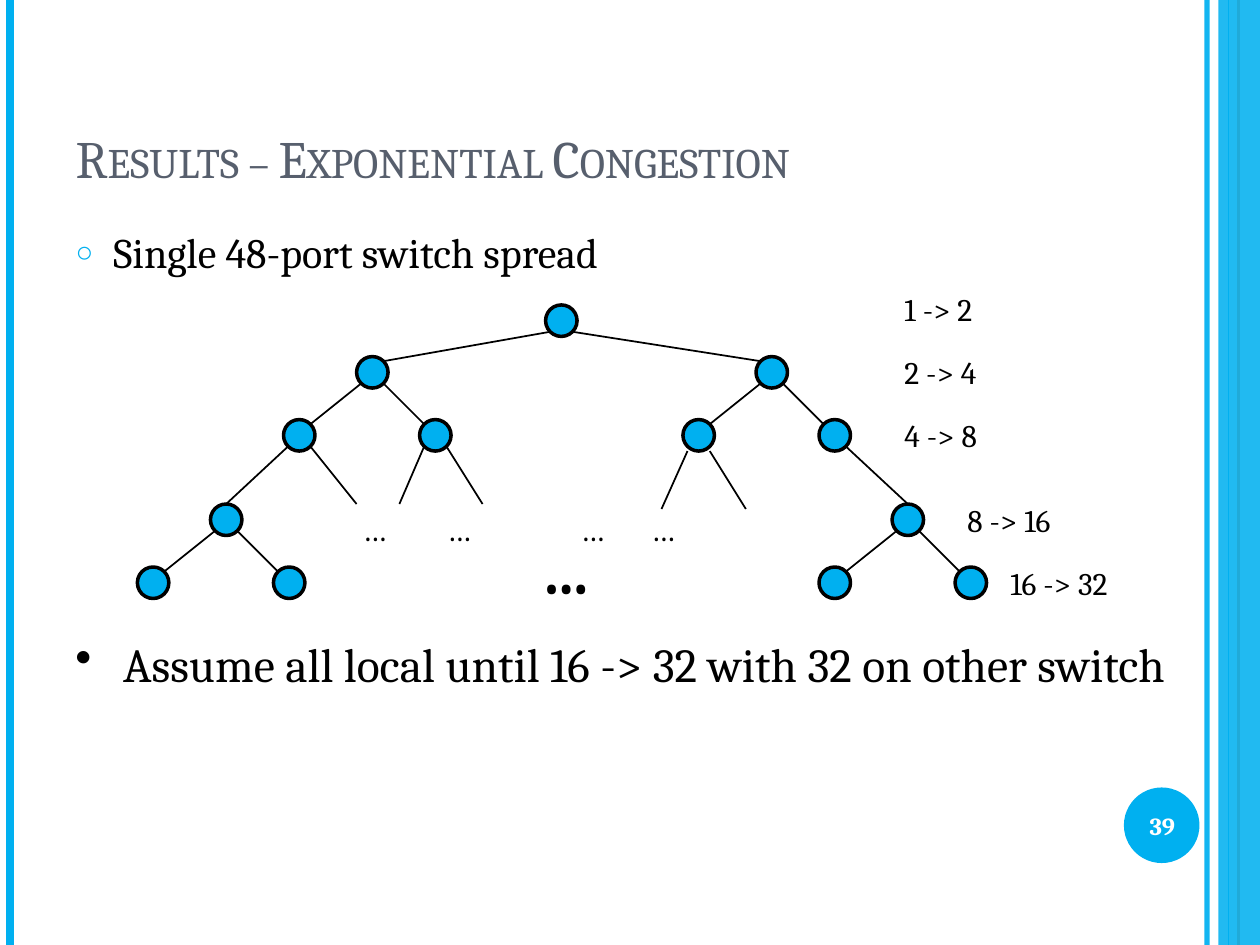
from dataclasses import dataclass
from math import sqrt

from lxml import etree
from pptx import Presentation
from pptx.dml.color import RGBColor
from pptx.enum.shapes import MSO_CONNECTOR, MSO_SHAPE
from pptx.enum.text import MSO_ANCHOR, PP_ALIGN
from pptx.oxml.ns import qn
from pptx.util import Inches, Pt

OVAL, RECTANGLE = MSO_SHAPE.OVAL, MSO_SHAPE.RECTANGLE
STRAIGHT = MSO_CONNECTOR.STRAIGHT
LEFT, CENTER = PP_ALIGN.LEFT, PP_ALIGN.CENTER
TOP, MIDDLE, BOTTOM = MSO_ANCHOR.TOP, MSO_ANCHOR.MIDDLE, MSO_ANCHOR.BOTTOM

BLUE = RGBColor(0x00, 0xB0, 0xF0)
ORANGE = RGBColor(0xFE, 0x86, 0x37)
SLATE = RGBColor(0x57, 0x5F, 0x6D)
BLACK = RGBColor(0x00, 0x00, 0x00)
WHITE = RGBColor(0xFF, 0xFF, 0xFF)

FONT = "Cambria"
SLIDE_HEIGHT = 7.5
NODE_SIZE = 0.25
CHILD_DROP = 0.5
LEFT_CHILD_SHIFT, RIGHT_CHILD_SHIFT = -0.58, 0.5

Point = tuple[float, float]


@dataclass(frozen=True)
class Node:
    left: float
    top: float

    def corner(self, across: int, down: int) -> Point:
        """Point on the circle's diagonal; -1 is left or up, 1 is right or down."""
        radius = NODE_SIZE / 2
        reach = radius / sqrt(2)
        return self.left + radius + across * reach, self.top + radius + down * reach

    def crown(self) -> Point:
        return self.left + NODE_SIZE / 2, self.top


@dataclass(frozen=True)
class Rule:
    x: float
    color: RGBColor
    weight: float
    opacity: int = 100


@dataclass(frozen=True)
class Label:
    text: str
    left: float
    top: float
    width: float
    height: float = 0.4
    size: float = 18
    bold: bool = False
    color: RGBColor = BLACK
    align: PP_ALIGN = LEFT
    anchor: MSO_ANCHOR = TOP


EDGE_RULES = [Rule(9.58, BLUE, 3, 93), Rule(0.08, BLUE, 4.5), Rule(9.83, ORANGE, 1.5)]
BAND_RULE = Rule(9.75, BLUE, 0.75)

ROOT = Node(4.33, 2.42)
LEFT_HALF, RIGHT_HALF = Node(2.83, 2.83), Node(6, 2.83)
LEFT_FRINGE, RIGHT_FRINGE = Node(1.67, 4), Node(7.08, 4)

ELLIPSIS_TABS = [0.11, 0.78, 1.84, 2.4]
ELLIPSIS_ROW = Label("\t…" * len(ELLIPSIS_TABS), 2.67, 4, 3.83)
ASSUMPTION = Label("Assume all local until 16 -> 32 with 32 on other switch",
                   0.5, 5.08, 9, 0.83, 27.2)
LABELS = [
    Label("39", 8.89, 6.27, 0.67, 0.57, 14, True, WHITE, CENTER, MIDDLE),
    Label("…", 2.58, 4.17, 3.83, 0.71, 36, True, align=CENTER),
    Label("1 -> 2", 7.08, 2.25, 1.42),
    Label("2 -> 4", 7.08, 2.75, 1.42),
    Label("4 -> 8", 7.08, 3.25, 1.42),
    Label("8 -> 16", 7.58, 3.93, 1),
    Label("16 -> 32", 7.92, 4.43, 1.17),
]


def set_opacity(properties, percent: int) -> None:
    color = next(properties.iter(qn("a:srgbClr")))
    etree.SubElement(color, qn("a:alpha"), val=str(percent * 1000))


def draw_line(shapes, start: Point, end: Point, color: RGBColor = BLACK, weight: float = 1):
    line = shapes.add_connector(STRAIGHT, *(Inches(v) for v in (*start, *end)))
    line.line.color.rgb = color
    line.line.width = Pt(weight)
    etree.SubElement(line._element.spPr, qn("a:effectLst"))
    return line


def draw_rule(shapes, rule: Rule) -> None:
    line = draw_line(shapes, (rule.x, 0), (rule.x, SLIDE_HEIGHT), rule.color, rule.weight)
    if rule.opacity < 100:
        set_opacity(line._element.spPr, rule.opacity)


def draw_blue(shapes, kind: MSO_SHAPE, left: float, top: float, width: float, height: float):
    shape = shapes.add_shape(kind, *(Inches(v) for v in (left, top, width, height)))
    shape.shadow.inherit = False
    shape.fill.solid()
    shape.fill.fore_color.rgb = BLUE
    shape.line.fill.background()
    return shape


def draw_node(shapes, node: Node) -> None:
    circle = draw_blue(shapes, OVAL, node.left, node.top, NODE_SIZE, NODE_SIZE)
    circle.line.color.rgb = BLACK
    circle.line.width = Pt(2)


def draw_branch(shapes, parent: Node) -> tuple[Node, Node]:
    """Draw a parent with its two children as one group and return the children."""
    group = shapes.add_group_shape().shapes
    level = parent.top + CHILD_DROP
    left = Node(parent.left + LEFT_CHILD_SHIFT, level)
    right = Node(parent.left + RIGHT_CHILD_SHIFT, level)
    for node in (parent, left, right):
        draw_node(group, node)
    link_children(group, parent, left, right)
    return left, right


def link_children(shapes, parent: Node, left: Node, right: Node) -> None:
    draw_line(shapes, parent.corner(-1, 1), left.corner(1, -1))
    draw_line(shapes, parent.corner(1, 1), right.corner(-1, -1))


def format_text(paragraph, size: float, color: RGBColor, bold: bool = False) -> None:
    font = paragraph.font
    font.name, font.size, font.bold = FONT, Pt(size), bold
    font.color.rgb = color


def draw_label(shapes, label: Label):
    box = shapes.add_textbox(Inches(label.left), Inches(label.top),
                             Inches(label.width), Inches(label.height))
    frame = box.text_frame
    frame.word_wrap = True
    frame.vertical_anchor = label.anchor
    paragraph = frame.paragraphs[0]
    paragraph.text = label.text
    paragraph.alignment = label.align
    format_text(paragraph, label.size, label.color, label.bold)
    return paragraph


def add_bullet(paragraph, mark: str, indent: float, color: RGBColor, percent: int) -> None:
    properties = paragraph._p.get_or_add_pPr()
    properties.set("marL", str(Inches(indent)))
    properties.set("indent", str(-Inches(indent)))
    bullet_color = etree.Element(qn("a:buClr"))
    etree.SubElement(bullet_color, qn("a:srgbClr"), val=str(color))
    bullet_size = etree.Element(qn("a:buSzPct"), val=str(percent * 1000))
    bullet_mark = etree.Element(qn("a:buChar"), char=mark)
    defaults = properties.find(qn("a:defRPr"))
    for part in (bullet_color, bullet_size, bullet_mark):
        defaults.addprevious(part)


def add_tabs(paragraph, stops: list[float]) -> None:
    properties = paragraph._p.get_or_add_pPr()
    tab_list = etree.Element(qn("a:tabLst"))
    for stop in stops:
        etree.SubElement(tab_list, qn("a:tab"), pos=str(Inches(stop)), algn="l")
    properties.find(qn("a:defRPr")).addprevious(tab_list)


def fill_placeholder(holder, text: str, top: float, width: float, height: float):
    holder.left, holder.top = Inches(0.5), Inches(top)
    holder.width, holder.height = Inches(width), Inches(height)
    paragraph = holder.text_frame.paragraphs[0]
    paragraph.text = text
    paragraph.alignment = LEFT
    return paragraph


def draw_tree(shapes) -> None:
    draw_node(shapes, ROOT)
    link_children(shapes, ROOT, LEFT_HALF, RIGHT_HALF)
    far_left, inner_left = draw_branch(shapes, LEFT_HALF)
    inner_right, far_right = draw_branch(shapes, RIGHT_HALF)
    for fringe in (LEFT_FRINGE, RIGHT_FRINGE):
        draw_branch(shapes, fringe)
    draw_line(shapes, far_left.corner(-1, 1), LEFT_FRINGE.crown())
    draw_line(shapes, far_right.corner(1, 1), RIGHT_FRINGE.crown())
    draw_line(shapes, far_left.corner(1, 1), (2.83, 4))
    draw_line(shapes, inner_left.corner(-1, 1), (3.17, 4))
    draw_line(shapes, inner_left.corner(1, 1), (3.83, 4))
    for side, end_x in ((-1, 5.25), (1, 5.92)):
        start_x = inner_right.corner(side, 1)[0]
        draw_line(shapes, (start_x, 3.58), (end_x, 4.04))


def main() -> None:
    deck = Presentation()
    deck.slide_width, deck.slide_height = Inches(10), Inches(SLIDE_HEIGHT)
    slide = deck.slides.add_slide(deck.slide_layouts[1])
    shapes = slide.shapes

    for rule in EDGE_RULES:
        draw_rule(shapes, rule)
    band = draw_blue(shapes, RECTANGLE, 9.67, 0, 0.33, SLIDE_HEIGHT)
    set_opacity(band._element.spPr, 87)
    draw_rule(shapes, BAND_RULE)
    draw_blue(shapes, OVAL, 8.92, 6.25, 0.6, 0.6)

    title = fill_placeholder(shapes.title, "Results – Exponential Congestion", 0.3, 8.17, 1.25)
    shapes.title.text_frame.vertical_anchor = BOTTOM
    format_text(title, 30, SLATE)
    title.runs[0].font._element.set("cap", "small")

    spread = fill_placeholder(slide.placeholders[1], "Single 48-port switch spread", 1.75, 9, 0.83)
    spread.space_before = Pt(6)
    format_text(spread, 24, BLACK)
    add_bullet(spread, "○", 0.3, BLUE, 70)

    draw_tree(shapes)
    for label in LABELS:
        draw_label(shapes, label)
    add_tabs(draw_label(shapes, ELLIPSIS_ROW), ELLIPSIS_TABS)

    assumption = draw_label(shapes, ASSUMPTION)
    assumption.line_spacing = 0.8
    assumption.space_before = Pt(5.4)
    add_bullet(assumption, "•", 0.38, BLACK, 100)

    deck.save("out.pptx")


if __name__ == "__main__":
    main()
